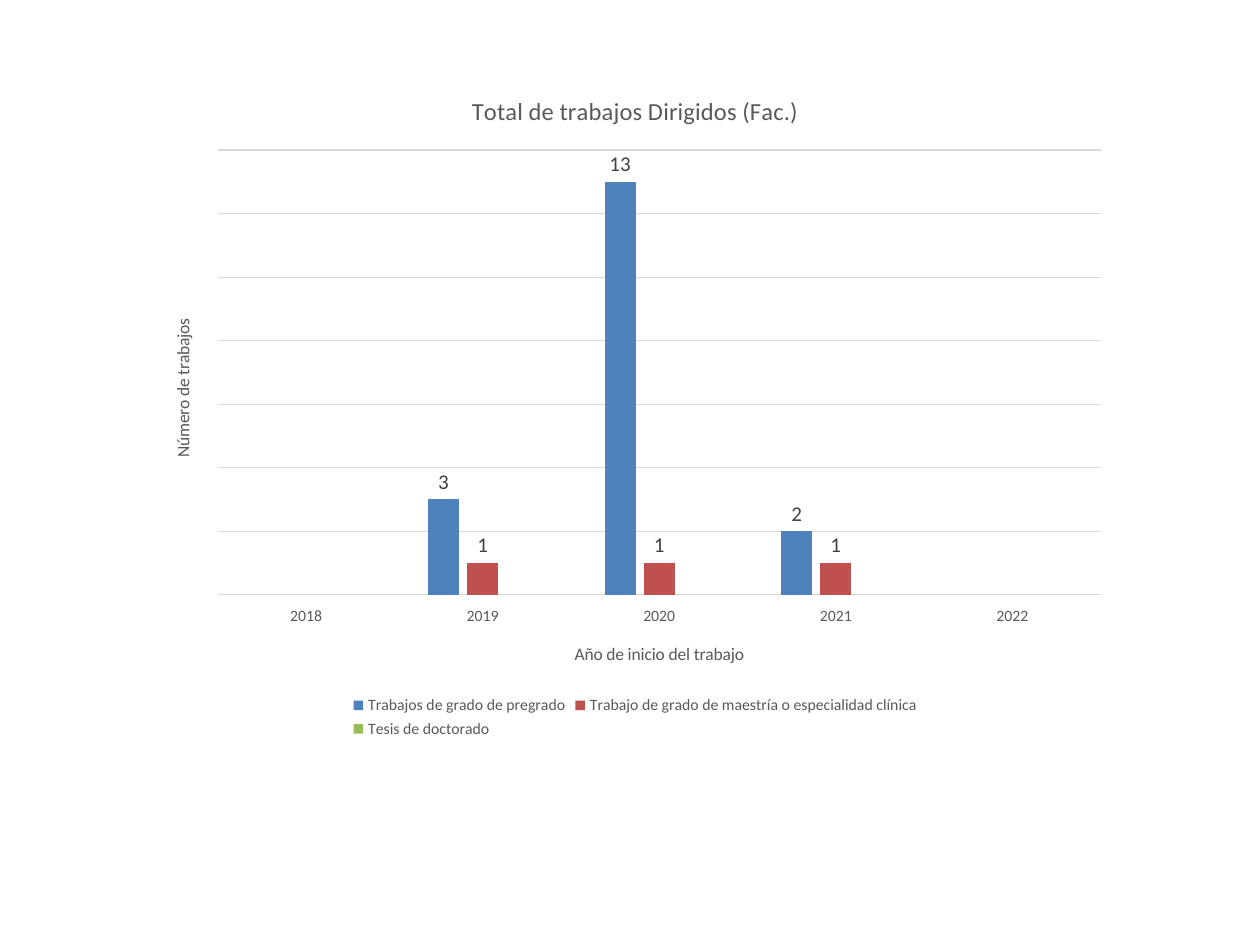
from dataclasses import dataclass
from typing import Optional

from lxml.etree import SubElement
from pptx import Presentation
from pptx.chart.data import CategoryChartData
from pptx.dml.color import RGBColor
from pptx.enum.chart import (
    XL_CHART_TYPE as ChartType,
    XL_LABEL_POSITION as LabelPosition,
    XL_LEGEND_POSITION as LegendPosition,
    XL_TICK_LABEL_POSITION as TickLabelPosition,
    XL_TICK_MARK as TickMark,
)
from pptx.oxml.ns import qn
from pptx.util import Inches, Pt

BLUE = RGBColor(0x4F, 0x81, 0xBD)
RED = RGBColor(0xC0, 0x50, 0x4D)
GREEN = RGBColor(0x9B, 0xBB, 0x59)
BLACK = RGBColor(0, 0, 0)
DARK_GRAY = RGBColor(0x40, 0x40, 0x40)
TEXT_GRAY = RGBColor(0x59, 0x59, 0x59)
LINE_GRAY = RGBColor(0xD9, 0xD9, 0xD9)
FONT_NAME = "Calibri"
YEARS = ["2018", "2019", "2020", "2021", "2022"]

# Plot area as shares of the chart
PLOT_SHARES = {"x": 0.07, "y": 0.12, "w": 0.91, "h": 0.66}


@dataclass
class WorkSeries:
    name: str
    values: list[Optional[int]]
    color: RGBColor
    label_size: int


SERIES = [
    WorkSeries("Trabajos de grado de pregrado", [None, 3, 13, 2, None], BLUE, 12),
    WorkSeries("Trabajo de grado de maestría o especialidad clínica",
               [None, 1, 1, 1, None], RED, 12),
    WorkSeries("Tesis de doctorado", [None] * len(YEARS), GREEN, 9),
]


def style_font(font, size: int, color: RGBColor) -> None:
    font.name = FONT_NAME
    font.size = Pt(size)
    font.bold = False
    font.color.rgb = color


def add_title(owner, text: str, size: int) -> None:
    """Give a chart or an axis its title."""
    owner.has_title = True
    title = owner.chart_title if hasattr(owner, "chart_title") else owner.axis_title
    title.text_frame.text = text
    style_font(title.text_frame.paragraphs[0].runs[0].font, size, TEXT_GRAY)


def style_line(line) -> None:
    line.color.rgb = LINE_GRAY
    line.width = Pt(0.75)


def style_series(series, work: WorkSeries) -> None:
    series.format.fill.solid()
    series.format.fill.fore_color.rgb = work.color
    series.invert_if_negative = False
    labels = series.data_labels
    labels.show_value = True
    labels.position = LabelPosition.OUTSIDE_END
    style_font(labels.font, work.label_size, DARK_GRAY)


def place_plot(chart) -> None:
    """Fix the inner plot area by its shares of the chart."""
    plot_area = chart.element.find(".//" + qn("c:plotArea"))
    layout = plot_area.find(qn("c:layout"))
    if layout is None:
        layout = SubElement(plot_area, qn("c:layout"))
        plot_area.insert(0, layout)
    manual = SubElement(layout, qn("c:manualLayout"))
    settings = {"layoutTarget": "inner", "xMode": "edge", "yMode": "edge", **PLOT_SHARES}
    for name, value in settings.items():
        SubElement(manual, qn(f"c:{name}")).set("val", str(value))


def add_works_chart(slide, width: int, height: int) -> None:
    data = CategoryChartData()
    data.categories = YEARS
    for work in SERIES:
        data.add_series(work.name, work.values)
    chart = slide.shapes.add_chart(
        ChartType.COLUMN_CLUSTERED, Inches(1.19), Inches(0.55),
        int(width * 0.77), int(height * 0.713), data).chart
    style_font(chart.font, 10, BLACK)
    add_title(chart, "Total de trabajos Dirigidos (Fac.)", 14)

    # Columns
    plot = chart.plots[0]
    plot.gap_width = 219
    plot.overlap = -27
    plot.vary_by_categories = False
    for series, work in zip(plot.series, SERIES):
        style_series(series, work)

    # Axes
    years = chart.category_axis
    add_title(years, "Año de inicio del trabajo", 10)
    years.major_tick_mark = years.minor_tick_mark = TickMark.NONE
    years.tick_label_position = TickLabelPosition.LOW
    style_font(years.tick_labels.font, 9, TEXT_GRAY)
    style_line(years.format.line)
    counts = chart.value_axis
    add_title(counts, "Número de trabajos", 10)
    counts.minimum_scale, counts.maximum_scale, counts.major_unit = 0, 14, 2
    counts.has_major_gridlines = True
    style_line(counts.major_gridlines.format.line)
    counts.visible = False

    # Legend
    chart.has_legend = True
    chart.legend.position = LegendPosition.BOTTOM
    chart.legend.include_in_layout = False
    style_font(chart.legend.font, 9, TEXT_GRAY)
    place_plot(chart)


def main() -> None:
    presentation = Presentation()
    presentation.slide_width = Inches(10)
    presentation.slide_height = Inches(7.5)
    slide = presentation.slides.add_slide(presentation.slide_layouts[6])
    add_works_chart(slide, presentation.slide_width, presentation.slide_height)
    presentation.save("out.pptx")


if __name__ == "__main__":
    main()
